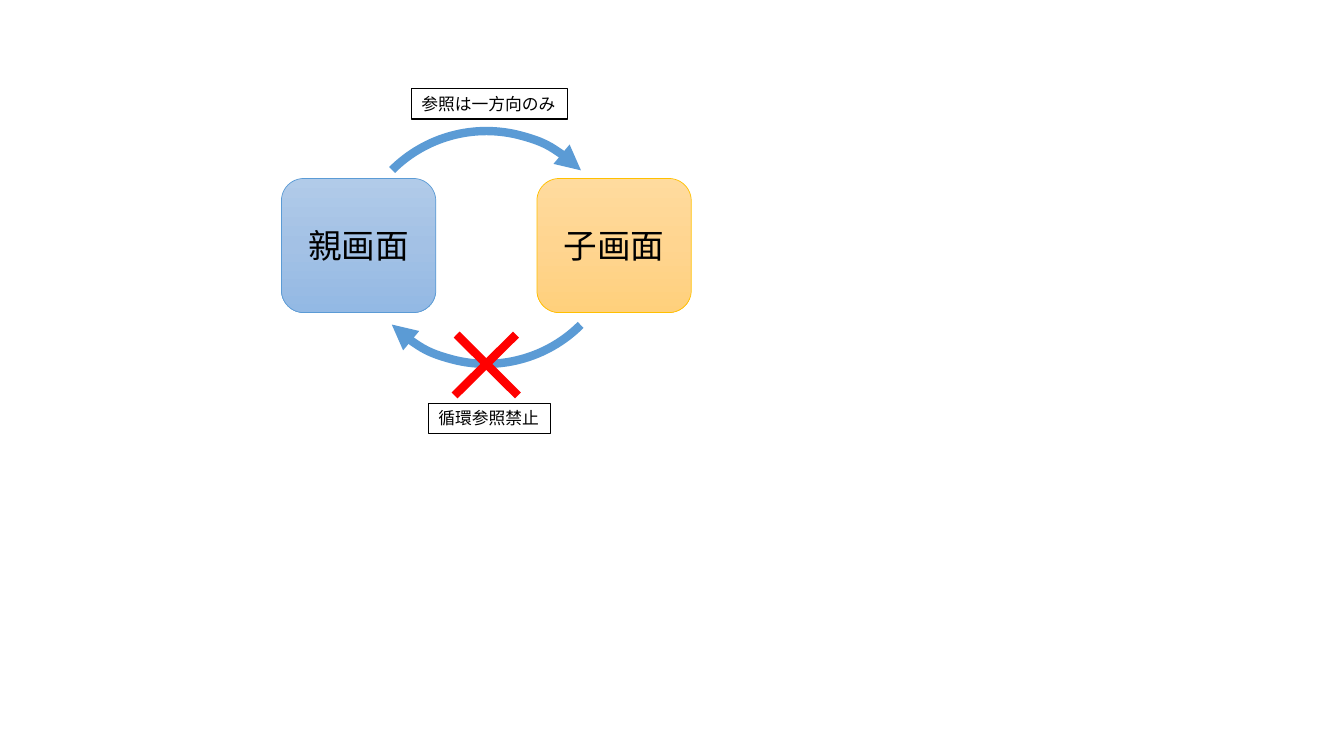
from copy import deepcopy
from dataclasses import dataclass

from pptx import Presentation
from pptx.dml.color import RGBColor
from pptx.enum.shapes import MSO_CONNECTOR, MSO_SHAPE
from pptx.enum.text import MSO_ANCHOR, MSO_AUTO_SIZE, PP_ALIGN
from pptx.oxml.ns import qn
from pptx.oxml.xmlchemy import OxmlElement
from pptx.util import Pt


@dataclass
class Theme:
    font: str = "Calibri"
    large: int = 24
    small: int = 12
    black: str = "000000"
    white: str = "FFFFFF"
    red: str = "FF0000"
    blue: str = "5B9BD5"
    gold: str = "FFC000"
    blues: tuple = ("B1CBE9", "A3C1E5", "93B9E4")
    golds: tuple = ("FFDB9E", "FFD590", "FFD07C")


theme = Theme()


def add_part(kind, left, top, width, height, edge, weight):
    part = group.shapes.add_shape(kind, Pt(left), Pt(top), Pt(width), Pt(height))
    part.shadow.inherit = False
    part.line.color.rgb = RGBColor.from_string(edge)
    part.line.width = Pt(weight)
    return part


def set_text(part, text, size, align):
    line = part.text_frame.paragraphs[0]
    line.text = text
    line.alignment = align
    font = line.runs[0].font
    font.name = theme.font
    font.size = Pt(size)
    font.color.rgb = RGBColor.from_string(theme.black)


deck = Presentation()
deck.slide_width, deck.slide_height = Pt(960), Pt(540)
slide = deck.slides.add_slide(deck.slide_layouts[6])
group = slide.shapes.add_group_shape()

# Parent and child screens
for left, text, edge, shades in (
    (201, "親画面", theme.blue, theme.blues),
    (383.5, "子画面", theme.gold, theme.golds),
):
    box = add_part(MSO_SHAPE.ROUNDED_RECTANGLE, left, 127.5, 110.3, 95.8, edge, 0.5)
    box.fill.gradient()
    box.fill.gradient_angle = 270
    stops = box._element.spPr.find(qn("a:gradFill")).find(qn("a:gsLst"))
    middle = deepcopy(stops[0])
    middle.set("pos", "50000")
    stops.insert(1, middle)
    for stop, shade in zip(box.fill.gradient_stops, shades):
        stop.color.rgb = RGBColor.from_string(shade)
    box.text_frame.vertical_anchor = MSO_ANCHOR.MIDDLE
    set_text(box, text, theme.large, PP_ALIGN.CENTER)

# Curved arrows: forward above, back below
for top, turn in ((93.6, 315.1), (69.1, 135.1)):
    arc = add_part(MSO_SHAPE.ARC, 252, top, 190.8, 190.8, theme.blue, 6)
    arc.fill.background()
    arc.rotation = turn
    head = OxmlElement("a:tailEnd")
    head.set("type", "triangle")
    arc._element.spPr.find(qn("a:ln")).append(head)

# Red cross over the way back
for start, end in ((326.2, 370), (368.6, 324.7)):
    stroke = group.shapes.add_connector(
        MSO_CONNECTOR.STRAIGHT, Pt(start), Pt(239), Pt(end), Pt(282.5)
    )
    stroke.line.color.rgb = RGBColor.from_string(theme.red)
    stroke.line.width = Pt(6)
    stroke._element.spPr.append(OxmlElement("a:effectLst"))

# Labels
for left, top, width, text in (
    (306, 288, 87.1, "循環参照禁止"),
    (293.8, 63.2, 111.6, "参照は一方向のみ"),
):
    label = add_part(MSO_SHAPE.RECTANGLE, left, top, width, 21.8, theme.black, 1)
    label.fill.solid()
    label.fill.fore_color.rgb = RGBColor.from_string(theme.white)
    frame = label.text_frame
    frame.word_wrap = False
    frame.auto_size = MSO_AUTO_SIZE.SHAPE_TO_FIT_TEXT
    frame.vertical_anchor = MSO_ANCHOR.TOP
    set_text(label, text, theme.small, PP_ALIGN.LEFT)

deck.save("out.pptx")
